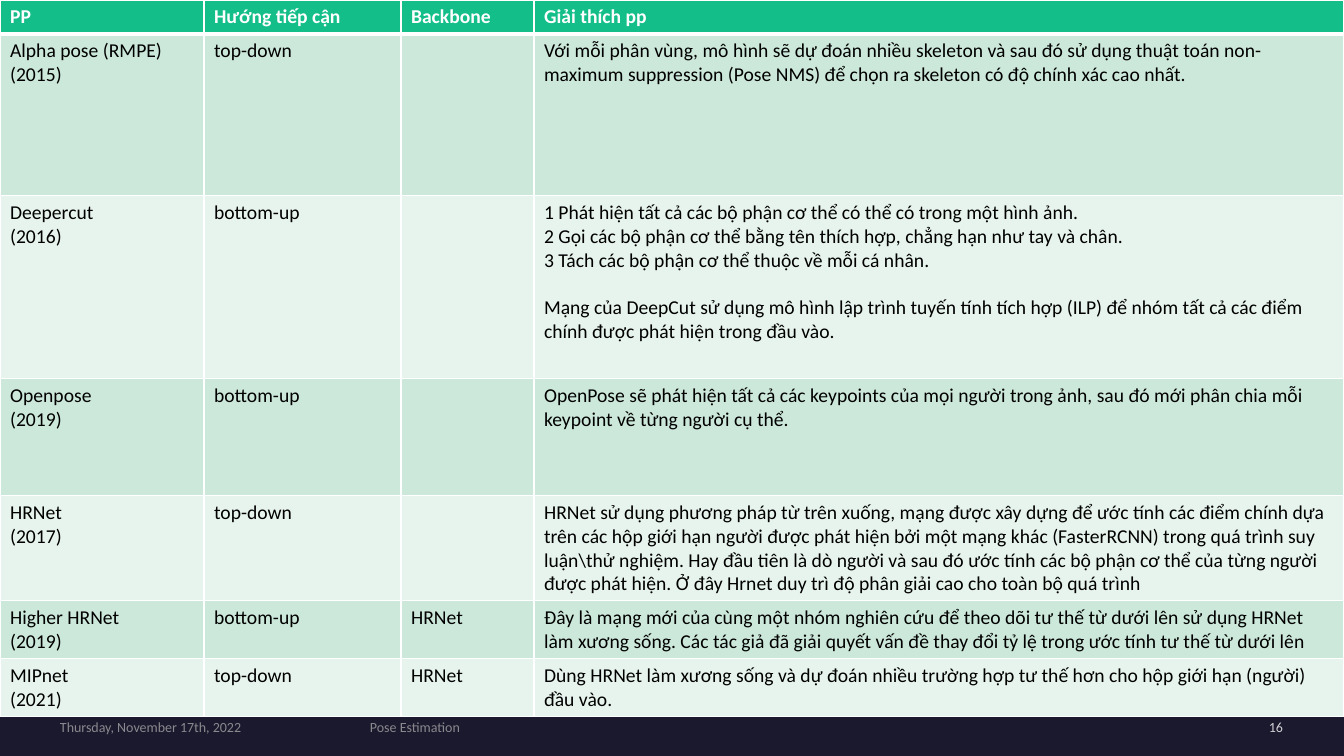
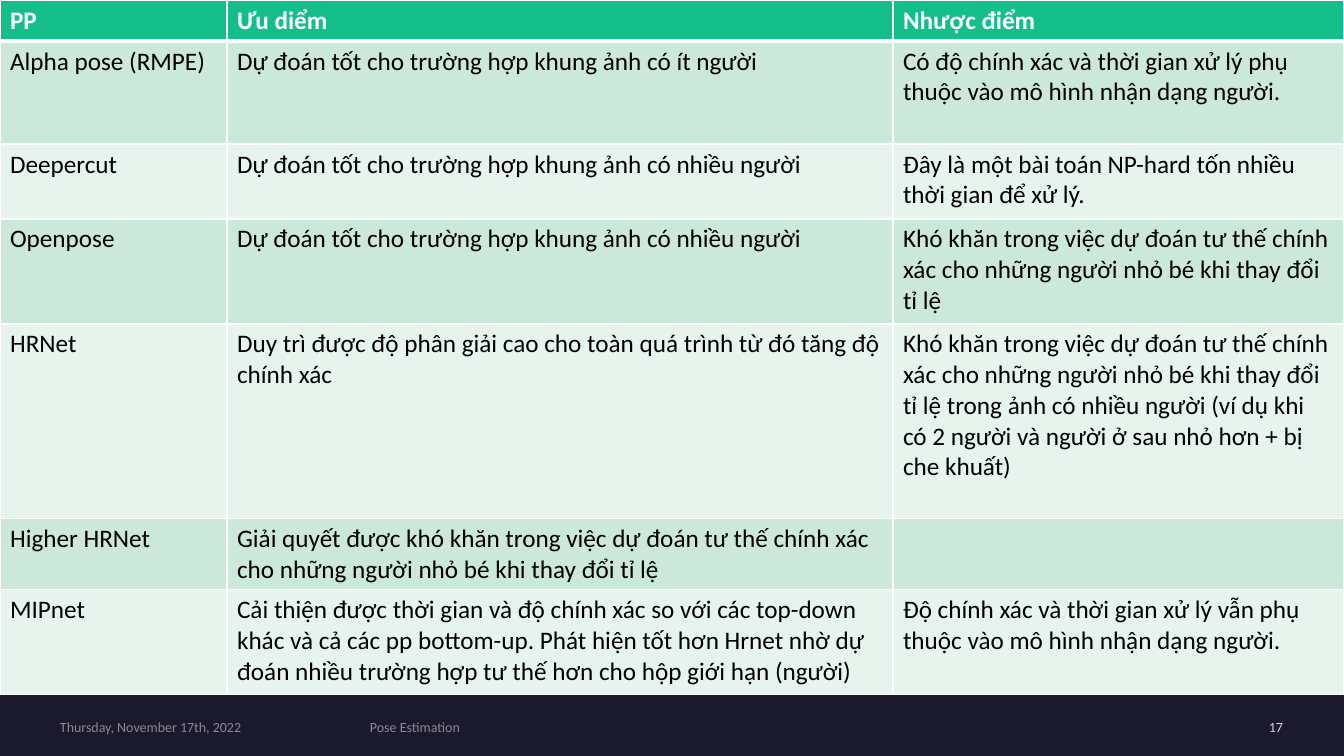
"""Build two slides that compare pose estimation methods in tables."""
import dataclasses

import lxml.etree
import pptx
import pptx.dml.color
import pptx.enum.text
import pptx.oxml.ns
import pptx.slide
import pptx.table
import pptx.text.text
import pptx.util

WIDTH, HEIGHT = 1344, 756
SCALE = 12192000 / WIDTH


@dataclasses.dataclass(frozen=True)
class Theme:
    font: str = "Calibri"
    back: str = "1B192E"
    head: str = "13BE89"
    bands: tuple[str, str] = ("CCE8DA", "E7F4ED")
    white: str = "FFFFFF"
    black: str = "000000"
    grey: str = "A6A6A6"
    alpha: int = 80
    small: int = 10
    thin: int = 1
    thick: int = 3
    leading: float = 1.22


@dataclasses.dataclass(frozen=True)
class Row:
    height: int
    cells: tuple[str, ...]


@dataclasses.dataclass(frozen=True)
class Page:
    number: int
    size: int
    widths: tuple[int, ...]
    rows: tuple[Row, ...]


@dataclasses.dataclass(frozen=True)
class Note:
    text: str
    left: int
    width: int
    color: str
    right: bool = False


THEME = Theme()
FOOTER_TOP, FOOTER_HEIGHT = 718, 17
FOOTERS = (
    Note("Thursday, November 17th, 2022", 60, 290, THEME.grey),
    Note("Pose Estimation", 370, 704, THEME.grey),
)
CROWD = "Dự đoán tốt cho trường hợp khung ảnh có nhiều người"
SCALING = ("Khó khăn trong việc dự đoán tư thế chính xác cho những người nhỏ bé "
           "khi thay đổi tỉ lệ")

METHODS = Page(16, 14, (204, 197, 133, 810), (
    Row(33, ("PP", "Hướng tiếp cận", "Backbone", "Giải thích pp")),
    Row(162, ("Alpha pose (RMPE)\n(2015)", "top-down", "",
              "Với mỗi phân vùng, mô hình sẽ dự đoán nhiều skeleton và sau đó sử dụng "
              "thuật toán non-maximum suppression (Pose NMS) để chọn ra skeleton có độ "
              "chính xác cao nhất.")),
    Row(183, ("Deepercut\n(2016)", "bottom-up", "",
              "1 Phát hiện tất cả các bộ phận cơ thể có thể có trong một hình ảnh.\n"
              "2 Gọi các bộ phận cơ thể bằng tên thích hợp, chẳng hạn như tay và chân.\n"
              "3 Tách các bộ phận cơ thể thuộc về mỗi cá nhân.\n\n"
              "Mạng của DeepCut sử dụng mô hình lập trình tuyến tính tích hợp (ILP) để "
              "nhóm tất cả các điểm chính được phát hiện trong đầu vào.")),
    Row(117, ("Openpose\n(2019)", "bottom-up", "",
              "OpenPose sẽ phát hiện tất cả các keypoints của mọi người trong ảnh, sau đó "
              "mới phân chia mỗi keypoint về từng người cụ thể.")),
    Row(105, ("HRNet\n(2017)", "top-down", "",
              "HRNet sử dụng phương pháp từ trên xuống, mạng được xây dựng để ước tính các "
              "điểm chính dựa trên các hộp giới hạn người được phát hiện bởi một mạng khác "
              "(FasterRCNN) trong quá trình suy luận\\thử nghiệm. Hay đầu tiên là dò người "
              "và sau đó ước tính các bộ phận cơ thể của từng người được phát hiện. Ở đây "
              "Hrnet duy trì độ phân giải cao cho toàn bộ quá trình")),
    Row(58, ("Higher HRNet\n(2019)", "bottom-up", "HRNet",
             "Đây là mạng mới của cùng một nhóm nghiên cứu để theo dõi tư thế từ dưới lên "
             "sử dụng HRNet làm xương sống. Các tác giả đã giải quyết vấn đề thay đổi tỷ "
             "lệ trong ước tính tư thế từ dưới lên")),
    Row(58, ("MIPnet\n(2021)", "top-down", "HRNet",
             "Dùng HRNet làm xương sống và dự đoán nhiều trường hợp tư thế hơn cho hộp "
             "giới hạn (người) đầu vào.")),
))

MERITS = Page(17, 18, (227, 666, 451), (
    Row(41, ("PP", "Ưu diểm", "Nhược điểm")),
    Row(103, ("Alpha pose (RMPE)", "Dự đoán tốt cho trường hợp khung ảnh có ít người",
              "Có độ chính xác và thời gian xử lý phụ thuộc vào mô hình nhận dạng người.")),
    Row(75, ("Deepercut", CROWD,
             "Đây là một bài toán NP-hard tốn nhiều thời gian để xử lý.")),
    Row(105, ("Openpose", CROWD, SCALING)),
    Row(195, ("HRNet",
              "Duy trì được độ phân giải cao cho toàn quá trình từ đó tăng độ chính xác",
              SCALING + " trong ảnh có nhiều người (ví dụ khi có 2 người và người ở sau "
              "nhỏ hơn + bị che khuất)")),
    Row(71, ("Higher HRNet",
             "Giải quyết được khó khăn trong việc dự đoán tư thế chính xác cho những người "
             "nhỏ bé khi thay đổi tỉ lệ", "")),
    Row(105, ("MIPnet",
              "Cải thiện được thời gian và độ chính xác so với các top-down khác và cả các "
              "pp bottom-up. Phát hiện tốt hơn Hrnet nhờ dự đoán nhiều trường hợp tư thế "
              "hơn cho hộp giới hạn (người)",
              "Độ chính xác và thời gian xử lý vẫn phụ thuộc vào mô hình nhận dạng người.")),
))


def px(count: int) -> pptx.util.Emu:
    """Turn pixels into EMU."""
    return pptx.util.Emu(round(count * SCALE))


def rgb(code: str) -> pptx.dml.color.RGBColor:
    """Turn a hex code into a colour."""
    return pptx.dml.color.RGBColor.from_string(code)


def style(para: pptx.text.text._Paragraph, size: int, color: str, bold: bool = False) -> None:
    """Set the font of a paragraph."""
    para.font.name = THEME.font
    para.font.size = pptx.util.Pt(size)
    para.font.bold = bold
    para.font.color.rgb = rgb(color)


def fade(para: pptx.text.text._Paragraph) -> None:
    """Make the text colour of a paragraph partly clear."""
    qn = pptx.oxml.ns.qn
    for color in list(para._p.iter(qn("a:srgbClr"))):
        lxml.etree.SubElement(color, qn("a:alpha")).set("val", str(THEME.alpha * 1000))


def edge(cell: pptx.table._Cell, side: str, weight: int) -> None:
    """Draw one white border of a cell."""
    qn = pptx.oxml.ns.qn
    line = lxml.etree.SubElement(cell._tc.get_or_add_tcPr(), qn(f"a:ln{side}"))
    line.set("w", str(pptx.util.Pt(weight)))
    fill = lxml.etree.SubElement(line, qn("a:solidFill"))
    lxml.etree.SubElement(fill, qn("a:srgbClr")).set("val", THEME.white)


def draw_cell(cell: pptx.table._Cell, text: str, row: int, size: int) -> None:
    """Fill, frame and write one cell."""
    head = row == 0
    thick_side = {0: "B", 1: "T"}.get(row)
    for side in "LRTB":
        edge(cell, side, THEME.thick if side == thick_side else THEME.thin)
    cell.fill.solid()
    cell.fill.fore_color.rgb = rgb(THEME.head if head else THEME.bands[(row - 1) % 2])
    frame = cell.text_frame
    frame.text = text.replace("\n\n", "\n")
    for para in frame.paragraphs:
        style(para, size, THEME.white if head else THEME.black, head)
    first = 0
    for block in text.split("\n\n"):
        if first:
            frame.paragraphs[first].space_before = pptx.util.Pt(round(size * THEME.leading))
        first += len(block.split("\n"))


def draw_table(slide: pptx.slide.Slide, page: Page) -> None:
    """Draw the table of a page from the top left corner."""
    total = sum(row.height for row in page.rows)
    table = slide.shapes.add_table(
        len(page.rows), len(page.widths), 0, 0, px(WIDTH), px(total)).table
    for column, width in zip(table.columns, page.widths):
        column.width = px(width)
    for index, row in enumerate(page.rows):
        table.rows[index].height = px(row.height)
        for column, text in enumerate(row.cells):
            draw_cell(table.cell(index, column), text, index, page.size)


def draw_note(slide: pptx.slide.Slide, note: Note) -> None:
    """Draw one footer text."""
    box = slide.shapes.add_textbox(
        px(note.left), px(FOOTER_TOP), px(note.width), px(FOOTER_HEIGHT))
    frame = box.text_frame
    frame.word_wrap = True
    frame.margin_left = frame.margin_right = frame.margin_top = frame.margin_bottom = 0
    frame.vertical_anchor = pptx.enum.text.MSO_ANCHOR.MIDDLE
    frame.text = note.text
    para = frame.paragraphs[0]
    align = pptx.enum.text.PP_ALIGN
    para.alignment = align.RIGHT if note.right else align.LEFT
    style(para, THEME.small, note.color)
    fade(para)


def main() -> None:
    """Build and save the deck."""
    deck = pptx.Presentation()
    deck.slide_width, deck.slide_height = px(WIDTH), px(HEIGHT)
    back = deck.slide_master.background.fill
    back.solid()
    back.fore_color.rgb = rgb(THEME.back)
    for page in (METHODS, MERITS):
        slide = deck.slides.add_slide(deck.slide_layouts[6])
        number = Note(str(page.number), 1097, 186, THEME.white, True)
        for note in (number, *FOOTERS):
            draw_note(slide, note)
        draw_table(slide, page)
    deck.save("out.pptx")


if __name__ == "__main__":
    main()
